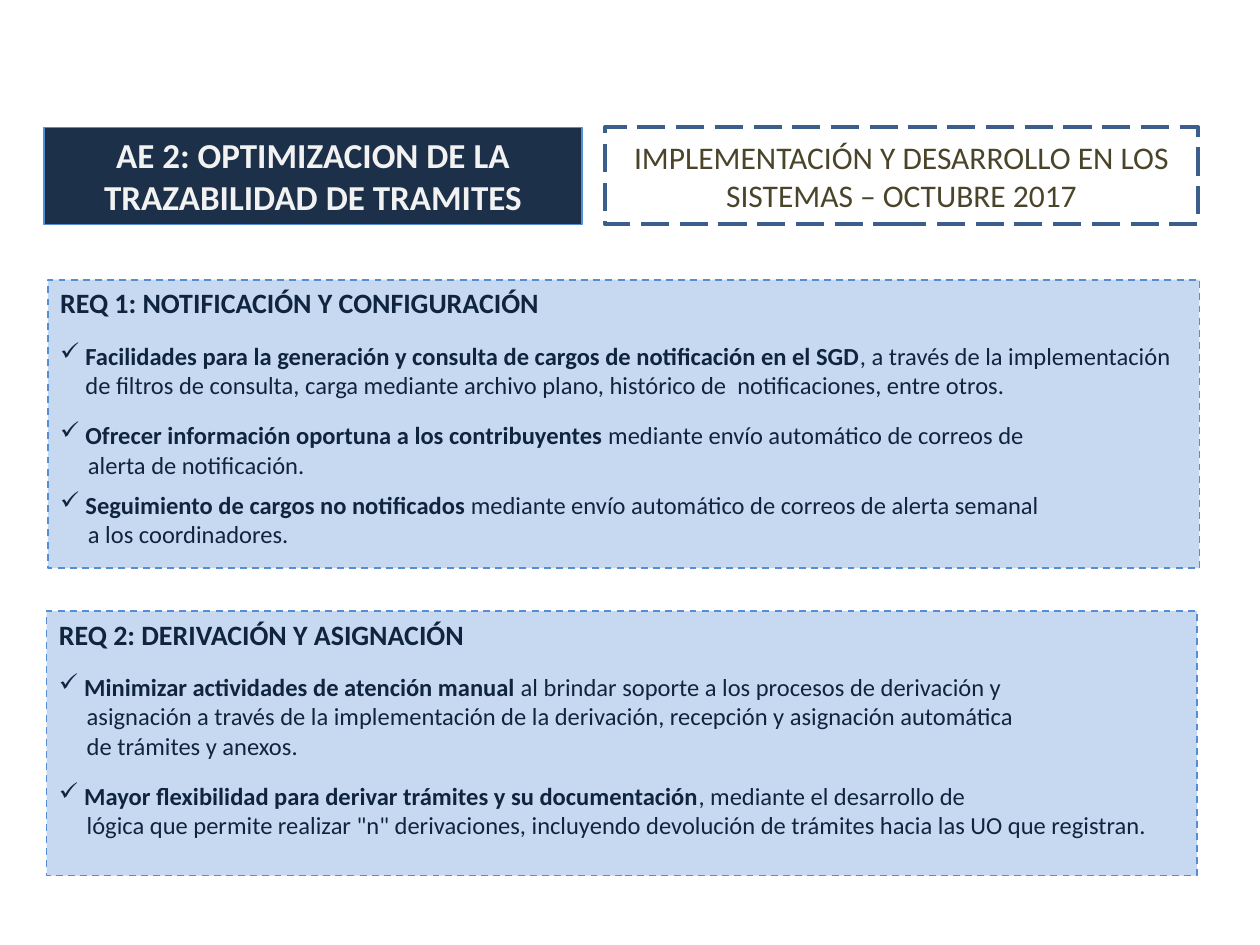
import pptx
import pptx.util
import pptx.dml.color
import pptx.enum.dml
import pptx.enum.shapes
import pptx.enum.text
import pptx.oxml
import pptx.oxml.ns
from lxml import etree

Inches = pptx.util.Inches
Pt = pptx.util.Pt
DASH = pptx.enum.dml.MSO_LINE
ANCHOR = pptx.enum.text.MSO_ANCHOR
ALIGN = pptx.enum.text.PP_ALIGN

COLORS = {
    "navy": "0F243E",
    "panel": "C6D9F1",
    "border": "558ED5",
    "frame": "3A5F8C",
    "light": "F2F2F2",
    "olive": "4A452A",
}

TITLE = "AE 2: OPTIMIZACION DE LA TRAZABILIDAD DE TRAMITES"
SUBTITLE = "IMPLEMENTACIÓN Y DESARROLLO EN LOS SISTEMAS – OCTUBRE 2017"

# Each item: bold lead, plain rest, continuation lines, space before, space after
NOTIFICATION = [
    ("Facilidades para la generación y consulta de cargos de notificación en el SGD",
     ", a través de la implementación de filtros de consulta, carga mediante archivo plano, "
     "histórico de  notificaciones, entre otros.", [], 6, 12),
    ("Ofrecer información oportuna a los contribuyentes ",
     "mediante envío automático de correos de", ["alerta de notificación."], 0, 0),
    ("Seguimiento de cargos no notificados ",
     "mediante envío automático de correos de alerta semanal", ["a los coordinadores."], 6, 0),
]
ROUTING = [
    ("Minimizar actividades de atención manual ",
     "al brindar soporte a los procesos de derivación y",
     ["asignación a través de la implementación de la derivación, recepción y asignación automática",
      "de trámites y anexos."], 0, 12),
    ("Mayor flexibilidad para derivar trámites y su documentación",
     ", mediante el desarrollo de",
     ["lógica que permite realizar \"n\" derivaciones, incluyendo devolución de trámites hacia las UO "
      "que registran."], 0, 0),
]


def rgb(name):
    """Return the named colour."""
    return pptx.dml.color.RGBColor.from_string(COLORS[name])


class SlideBuilder:
    """Holds the style and the current slide."""

    font = "Calibri"
    hanging = 0.2
    continuation = 0.22

    def __init__(self, deck):
        """Add a blank page to the deck."""
        self.page = deck.slides.add_slide(deck.slide_layouts[6])

    def box(self, place, fill, line, width, dash=None, alpha=None, anchor=ANCHOR.TOP):
        """Add a rectangle and return its text frame."""
        box = self.page.shapes.add_shape(
            pptx.enum.shapes.MSO_SHAPE.RECTANGLE, *map(Inches, place))
        box.shadow.inherit = False
        if fill:
            box.fill.solid()
            box.fill.fore_color.rgb = rgb(fill)
        else:
            box.fill.background()
        if alpha:
            color = box.fill._xPr.find(".//" + pptx.oxml.ns.qn("a:srgbClr"))
            etree.SubElement(color, pptx.oxml.ns.qn("a:alpha"), val=str(alpha * 1000))
        box.line.color.rgb = rgb(line)
        box.line.width = Pt(width)
        if dash:
            box.line.dash_style = dash
        frame = box.text_frame
        frame.word_wrap = True
        frame.vertical_anchor = anchor
        return frame

    def para(self, frame, spans, size, color, first=False, indent=0, bullet=None, **formats):
        """Write a paragraph of (text, bold) spans."""
        para = frame.paragraphs[0] if first else frame.add_paragraph()
        properties = para._p.get_or_add_pPr()
        properties.set("marL", str(Inches(indent)))
        if bullet:
            properties.set("indent", str(-Inches(indent)))
            etree.SubElement(properties, pptx.oxml.ns.qn("a:buChar"), char=bullet)
        settings = {"alignment": ALIGN.LEFT, "space_before": Pt(0), "space_after": Pt(0)}
        for name, value in {**settings, **formats}.items():
            setattr(para, name, value)
        for text, bold in spans:
            span = para.add_run()
            span.text = text
            for name, value in {"name": self.font, "size": Pt(size), "bold": bold}.items():
                setattr(span.font, name, value)
            span.font.color.rgb = rgb(color)

    def header(self, text, size, color, bold, place, **style):
        """Add a box with one centred text."""
        frame = self.box(place, **style)
        self.para(frame, [(text, bold)], size, color, first=True, alignment=ALIGN.CENTER)

    def panel(self, place, heading, gap, items):
        """Add a requirement panel with ticked items."""
        frame = self.box(place, "panel", "border", 1, DASH.DASH)
        self.para(frame, [(heading, True)], 16, "navy", first=True, space_after=Pt(gap))
        for lead, rest, lines, before, after in items:
            self.para(frame, [(lead, True), (rest, False)], 14, "navy", indent=self.hanging,
                      bullet="✓", space_before=Pt(before), space_after=Pt(0 if lines else after))
            for line in lines:
                self.para(frame, [(line, False)], 14, "navy", indent=self.continuation,
                          space_after=Pt(after if line == lines[-1] else 0))


def main():
    """Build and save the deck."""
    deck = pptx.Presentation()
    deck.slide_width, deck.slide_height = Inches(10), Inches(7.5)
    slide = SlideBuilder(deck)
    slide.panel((0.37, 4.85, 9.13, 2.1), "REQ 2: DERIVACIÓN Y ASIGNACIÓN", 12, ROUTING)
    slide.panel((0.38, 2.22, 9.14, 2.29), "REQ 1: NOTIFICACIÓN Y CONFIGURACIÓN", 6, NOTIFICATION)
    slide.header(TITLE, 20, "light", True, (0.35, 1.01, 4.27, 0.77),
                 fill="navy", line="border", width=0.75, alpha=94)
    slide.header(SUBTITLE, 18, "olive", False, (4.8, 1.01, 4.71, 0.77), fill=None,
                 line="frame", width=2, dash=DASH.LONG_DASH, anchor=ANCHOR.MIDDLE)
    deck.save("out.pptx")


if __name__ == "__main__":
    main()
